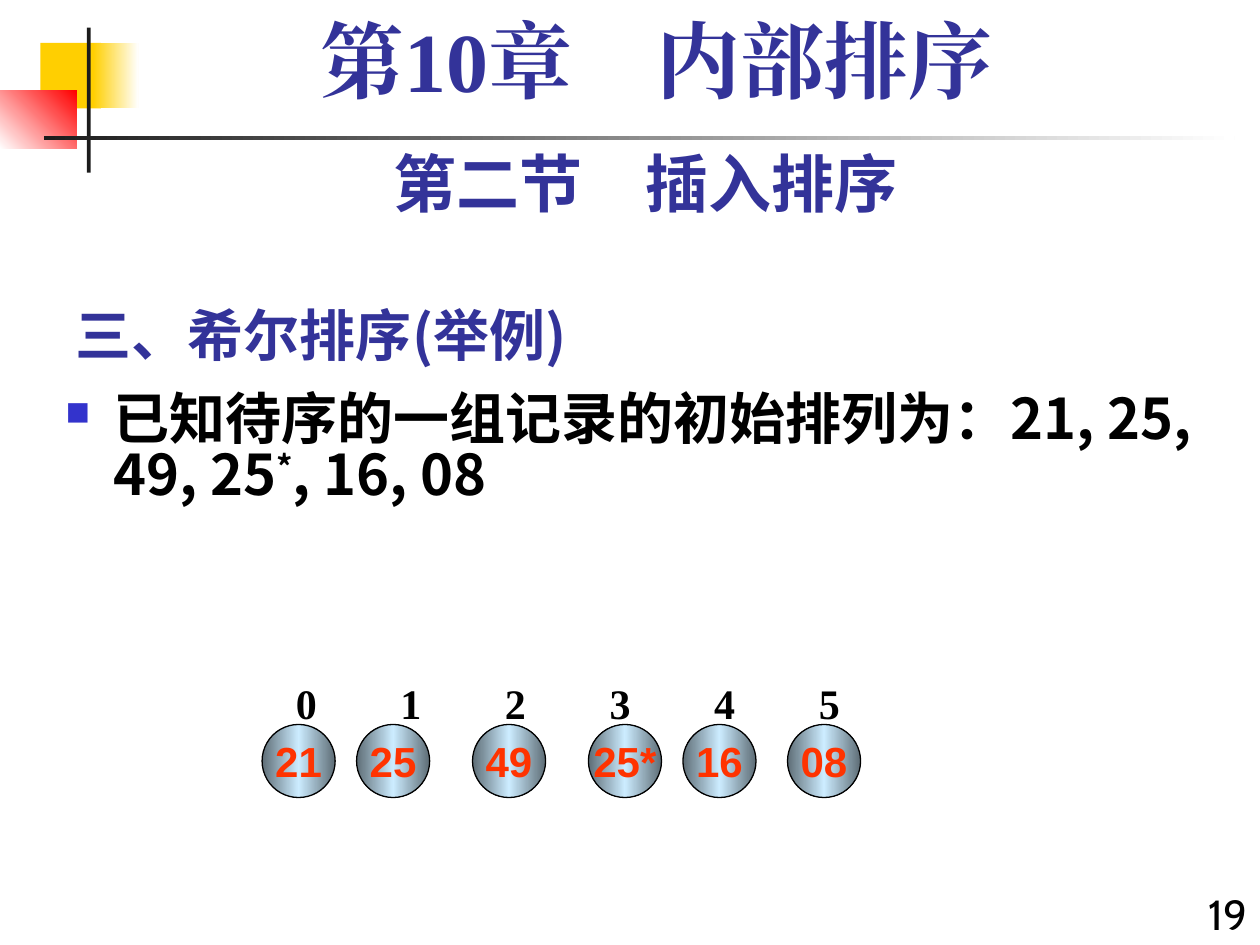
import copy

import pptx
import pptx.dml.color
import pptx.enum.shapes
import pptx.enum.text
import pptx.oxml
import pptx.oxml.ns
import pptx.util
from pptx.util import Inches

ALIGN = pptx.enum.text.PP_ALIGN
ANCHOR = pptx.enum.text.MSO_ANCHOR
SHAPE = pptx.enum.shapes.MSO_SHAPE
CJK = "Noto Sans CJK SC"
NAVY = "333399"
BLACK = "000000"


def rgb(value):
    """Turn a hex string into a colour."""
    return pptx.dml.color.RGBColor.from_string(value)


def set_values(target, values):
    """Set each named attribute of the target."""
    for name, value in values.items():
        setattr(target, name, value)


def add_child(parent, tag, **attributes):
    """Append a drawing element with the given attributes."""
    child = parent.makeelement(pptx.oxml.ns.qn(tag), attributes)
    parent.append(child)
    return child


def add_text(para, text, color, size, font, bold=True, raised=False):
    """Add one formatted span to a paragraph."""
    span = para.add_run()
    span.text = text
    set_values(span.font, {"size": pptx.util.Pt(size), "name": font, "bold": bold})
    span.font.color.rgb = rgb(color)
    properties = span.font._element
    add_child(properties, "a:ea", typeface=CJK if font == "Cabin" else font)
    if raised:
        properties.set("baseline", "30000")


def add_box(page, box, **frame_values):
    """Add a wrapping text box and return its first paragraph."""
    frame = page.shapes.add_textbox(*map(Inches, box)).text_frame
    set_values(frame, {"word_wrap": True, **frame_values})
    return frame.paragraphs[0]


def add_filled(page, kind, box, colors, angle=0):
    """Add a shape with a plain fill or an even gradient."""
    shape = page.shapes.add_shape(kind, *map(Inches, box))
    shape.shadow.inherit = False
    shape.line.fill.background()
    if len(colors) == 1:
        shape.fill.solid()
        shape.fill.fore_color.rgb = rgb(colors[0])
        return shape
    shape.fill.gradient()
    shape.fill.gradient_angle = angle
    stop_list = shape._element.spPr.find(".//" + pptx.oxml.ns.qn("a:gsLst"))
    for _ in colors[2:]:
        stop_list.append(copy.deepcopy(stop_list[0]))
    for index, (stop, color) in enumerate(zip(shape.fill.gradient_stops, colors)):
        stop.color.rgb = rgb(color)
        stop.position = index / (len(colors) - 1)
    return shape


def add_decoration(page, left, top):
    """Draw the coloured squares and the crossed rules."""
    pieces = [
        (0.32, 0.12, 0.48, 0.52, ["FFCF01"], 0),
        (0.74, 0.12, 0.36, 0.52, ["FFCF01", "FFFFFF"], 0),
        (0, 0.5, 0.61, 0.46, ["FFFFFF", "FF0000"], 45),
        (0.69, 0, 0.03, 1.15, ["1C1C1C"], 0),
        (0.35, 0.86, 9.45, 0.03, ["1C1C1C", "FFFFFF"], 0),
    ]
    for x, y, width, height, colors, angle in pieces:
        add_filled(page, SHAPE.RECTANGLE, (left + x, top + y, width, height), colors, angle)


def add_heading(page, box):
    """Place the slide title."""
    title = page.shapes.title
    set_values(title, dict(zip(("left", "top", "width", "height"), map(Inches, box))))
    set_values(title.text_frame, {
        "vertical_anchor": ANCHOR.BOTTOM, "word_wrap": True, "margin_bottom": 0,
        "auto_size": pptx.enum.text.MSO_AUTO_SIZE.NONE})
    para = title.text_frame.paragraphs[0]
    para.alignment = ALIGN.LEFT
    add_text(para, "三、希尔排序(举例)", NAVY, 32, CJK)


def add_chapter(page, box):
    """Place the chapter name."""
    para = add_box(page, box)
    set_values(para, {"alignment": ALIGN.CENTER, "line_spacing": 0.8})
    add_text(para, "第10章　内部排序", NAVY, 48, "Times New Roman")


def add_section(page, box):
    """Place the section name."""
    para = add_box(page, box)
    set_values(para, {"alignment": ALIGN.CENTER, "line_spacing": 0.9})
    add_text(para, "第二节　插入排序", NAVY, 36, "Cabin")


def add_body(page, box):
    """Place the bulleted statement of the records."""
    para = add_box(page, box)
    para.line_spacing = 0.84
    properties = para._p.get_or_add_pPr()
    indent = Inches(0.38)
    properties.set("marL", str(indent))
    properties.set("indent", str(-indent))
    add_child(add_child(properties, "a:buClr"), "a:srgbClr", val="3333CC")
    add_child(properties, "a:buSzPct", val="60000")
    add_child(properties, "a:buChar", char="■")
    add_text(para, "已知待序的一组记录的初始排列为：21, 25, 49, 25", BLACK, 32, CJK)
    add_text(para, "*", BLACK, 32, CJK, raised=True)
    add_text(para, ", 16, 08", BLACK, 32, CJK)


def add_indices(page, box, count, pitch):
    """Place the record indices on evenly spaced tab stops."""
    para = add_box(page, box)
    tabs = add_child(para._p.get_or_add_pPr(), "a:tabLst")
    for index in range(1, count):
        add_child(tabs, "a:tab", pos=str(Inches(pitch * index)), algn="l")
    add_text(para, "\t".join(map(str, range(count))), BLACK, 24, "Times New Roman")


def add_records(page, top, size, records):
    """Draw one shaded ball for each record."""
    for label, left in records.items():
        ball = add_filled(page, SHAPE.OVAL, (left, top, size, size),
                          ["5E6D76", "CCECFF", "5E6D76"])
        ball.line.color.rgb = rgb(BLACK)
        ball.line.width = pptx.util.Pt(0.75)
        set_values(ball.text_frame, {"word_wrap": False, "vertical_anchor": ANCHOR.MIDDLE})
        para = ball.text_frame.paragraphs[0]
        para.alignment = ALIGN.CENTER
        add_text(para, label, "FF3300", 24, "Arial")


def add_page_number(page, box):
    """Place the page number."""
    para = add_box(page, box)
    para.alignment = ALIGN.RIGHT
    add_text(para, "19", BLACK, 24, "Cabin", bold=False)


def main():
    """Build and save the deck."""
    deck = pptx.Presentation()
    set_values(deck, {"slide_width": Inches(10), "slide_height": Inches(7.5)})
    page = deck.slides.add_slide(deck.slide_layouts[5])
    add_decoration(page, 0, 0.22)
    add_heading(page, (0.5, 2.17, 6.25, 0.75))
    add_page_number(page, (9.33, 7, 0.67, 0.59))
    add_section(page, (0.5, 1.17, 9.25, 0.7))
    add_body(page, (0.42, 3.08, 9.58, 4.42))
    add_chapter(page, (0.67, 0.17, 9.08, 0.83))
    add_indices(page, (2.25, 5.33, 4.86, 0.5), 6, 0.83)
    add_records(page, 5.75, 0.58, {
        "21": 2.08, "25": 2.83, "49": 3.75, "25*": 4.67, "16": 5.42, "08": 6.25})
    deck.save("out.pptx")


if __name__ == "__main__":
    main()
